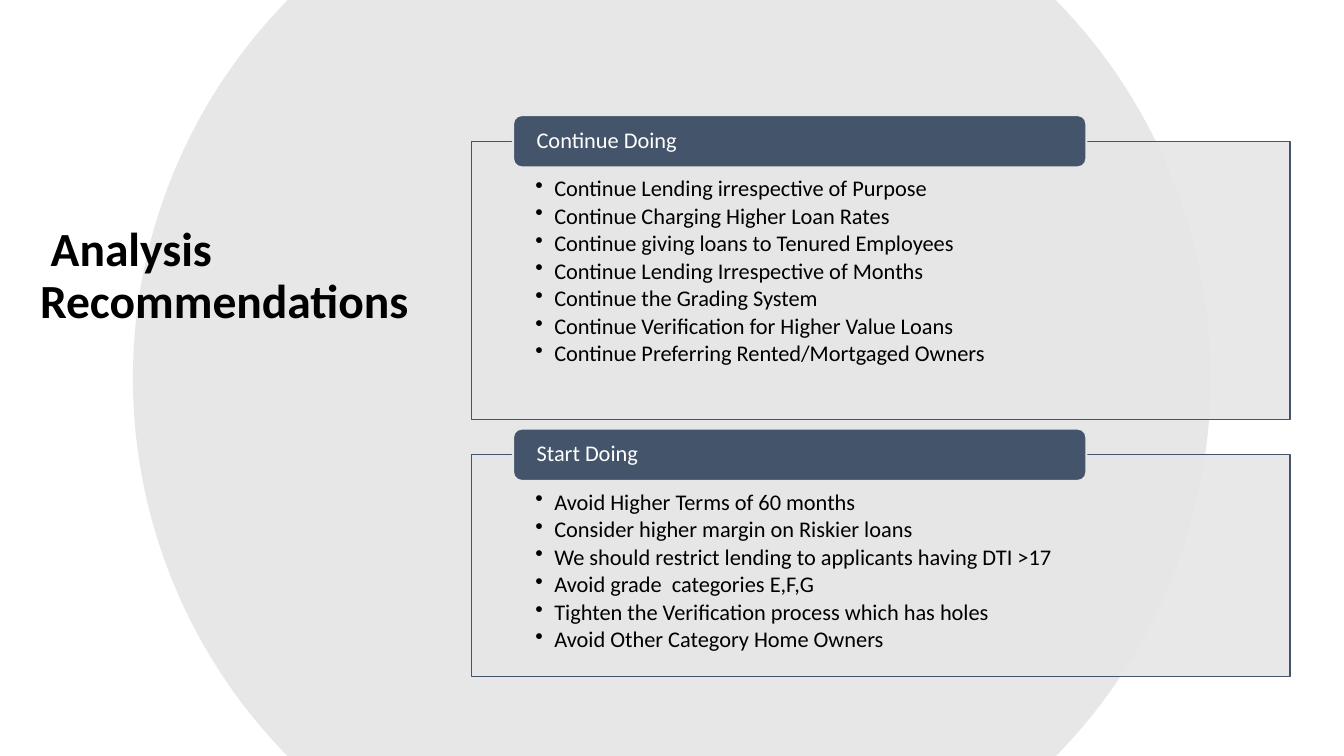
"""Build the analysis recommendations slide: a title beside two headed bullet panels."""
import math
from dataclasses import dataclass

from lxml import etree
from pptx import Presentation
from pptx.dml.color import RGBColor
from pptx.enum import shapes, text
from pptx.oxml import ns
from pptx.util import Cm, Pt


@dataclass(frozen=True)
class Theme:
    font: str = "Calibri"
    title_size: int = 34
    body_size: int = 16
    ink: str = "000000"
    white: str = "FFFFFF"
    slate: str = "44546A"
    pale: str = "E7E6E6"
    disc: str = "D9D9D9"


theme = Theme()


def paint(shape, fill, opacity=100, line=None, width=1):
    shape.shadow.inherit = False
    shape.fill.solid()
    shape.fill.fore_color.rgb = RGBColor.from_string(fill)
    if opacity < 100:
        colour = shape._element.spPr.find(ns.qn("a:solidFill"))[0]
        etree.SubElement(colour, ns.qn("a:alpha"), val=str(opacity * 1000))
    if line:
        shape.line.color.rgb = RGBColor.from_string(line)
        shape.line.width = Pt(width)
    else:
        shape.line.fill.background()


def write(shape, lines, size, colour, anchor, insets, bold=False):
    frame = shape.text_frame
    frame.word_wrap = True
    frame.vertical_anchor = anchor
    frame.margin_left = frame.margin_right = Cm(insets[0])
    frame.margin_top, frame.margin_bottom = Cm(insets[1]), Cm(insets[2])
    frame.text = "\n".join(lines)
    for para in frame.paragraphs:
        para.alignment = text.PP_ALIGN.LEFT
        para.line_spacing = 0.9
        font = para.runs[0].font
        font.name, font.size, font.bold = theme.font, Pt(size), bold
        font.color.rgb = RGBColor.from_string(colour)
    return frame


deck = Presentation()
deck.slide_width, deck.slide_height = Cm(33.87), Cm(19.05)
page = deck.slides.add_slide(deck.slide_layouts[6])

centre_x, centre_y, radius = 16.93, 9.53, 13.58
half_angle = math.asin(centre_y / radius)
steps = 60
outline = []
for middle in (0, math.pi):
    for step in range(steps + 1):
        angle = middle + half_angle * (2 * step / steps - 1)
        outline.append((Cm(centre_x + radius * math.cos(angle)),
                        Cm(centre_y + radius * math.sin(angle))))
builder = page.shapes.build_freeform(*outline[0])
builder.add_line_segments(outline[1:], close=True)
paint(builder.convert_to_shape(), theme.disc, opacity=62)

title = page.shapes.add_textbox(Cm(0.76), Cm(-1.5), Cm(10.36), Cm(9.91))
write(title, [" Analysis Recommendations"], theme.title_size, theme.ink,
      text.MSO_ANCHOR.BOTTOM, (0.25, 0.13, 0.13), bold=True)

panels = [
    ("Continue Doing", 3.56, 7.01, [
        "Continue Lending irrespective of Purpose",
        "Continue Charging Higher Loan Rates",
        "Continue giving loans to Tenured Employees",
        "Continue Lending Irrespective of Months",
        "Continue the Grading System",
        "Continue Verification for Higher Value Loans",
        "Continue Preferring Rented/Mortgaged Owners",
    ]),
    ("Start Doing", 11.46, 5.59, [
        "Avoid Higher Terms of 60 months",
        "Consider higher margin on Riskier loans",
        "We should restrict lending to applicants having DTI >17",
        "Avoid grade  categories E,F,G",
        "Tighten the Verification process which has holes",
        "Avoid Other Category Home Owners",
    ]),
]
header_height = 1.32

for heading, top, height, points in panels:
    panel = page.shapes.add_shape(shapes.MSO_SHAPE.RECTANGLE,
                                  Cm(11.89), Cm(top), Cm(20.62), Cm(height))
    paint(panel, theme.pale, opacity=90, line=theme.slate)
    frame = write(panel, points, theme.body_size, theme.ink,
                  text.MSO_ANCHOR.TOP, (1.6, 0.91, 0.3))
    for para in frame.paragraphs:
        para.space_after = Pt(2.4)
        properties = para._p.get_or_add_pPr()
        properties.set("marL", str(Cm(0.48)))
        properties.set("indent", str(Cm(-0.48)))
        etree.SubElement(properties, ns.qn("a:buChar"), char="•")

    header = page.shapes.add_shape(shapes.MSO_SHAPE.ROUNDED_RECTANGLE,
                                   Cm(12.93), Cm(top - header_height / 2),
                                   Cm(14.45), Cm(header_height))
    paint(header, theme.slate, line=theme.pale, width=1.5)
    write(header, [heading], theme.body_size, theme.white,
          text.MSO_ANCHOR.MIDDLE, (0.53, 0, 0))

deck.save("out.pptx")
